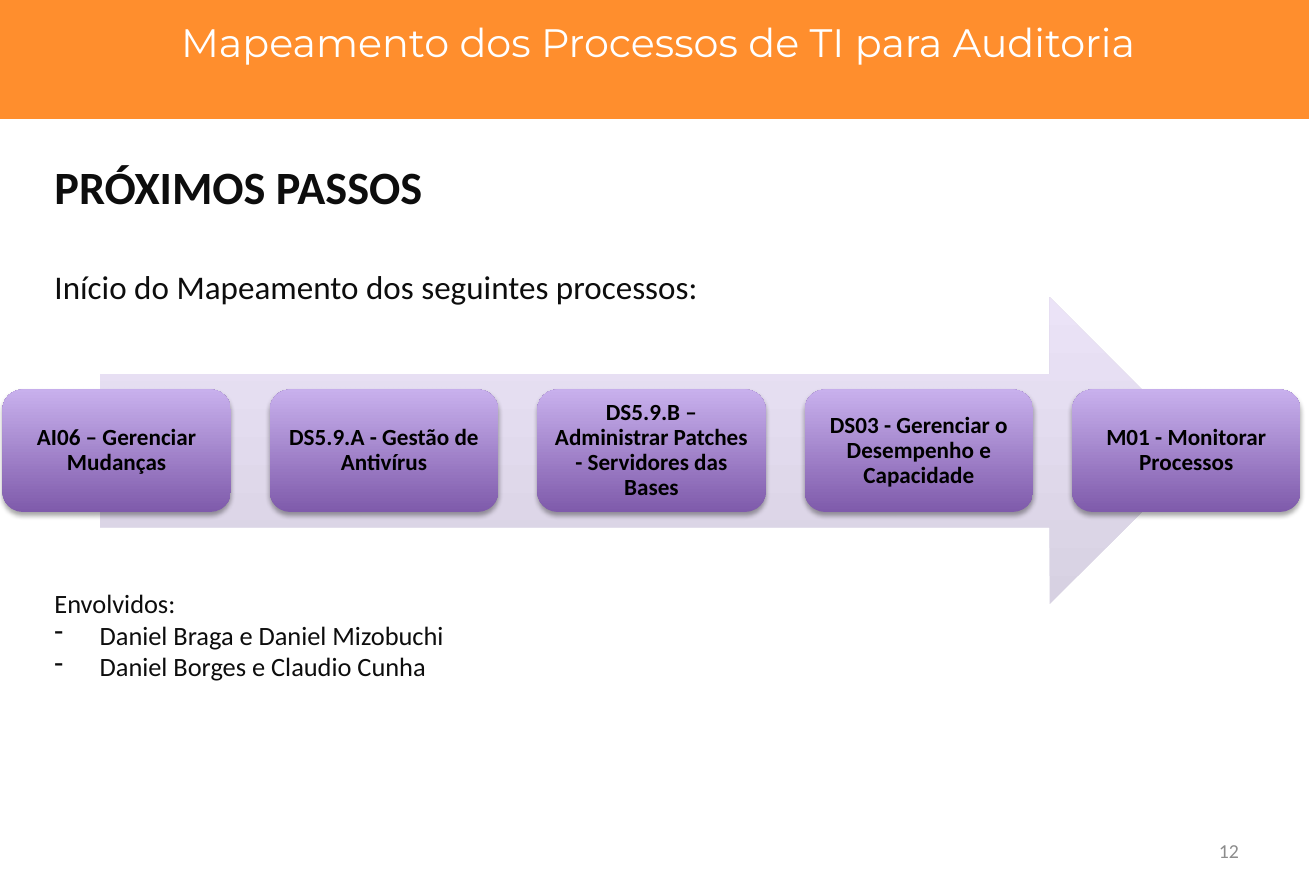
from lxml.etree import SubElement
from pptx import Presentation
from pptx.dml.color import RGBColor
from pptx.enum.shapes import MSO_SHAPE
from pptx.enum.text import MSO_ANCHOR, MSO_AUTO_SIZE, PP_ALIGN
from pptx.oxml.ns import qn
from pptx.util import Inches, Pt

COLORS = {
    "band": "FF8E2D",
    "title": "FFFFFF",
    "body": "0D0D0D",
    "card_text": "000000",
    "number": "8C8C8C",
    "arrow_bottom": "D7D1E2",
    "arrow_top": "EBE3F7",
    "card_bottom": "7F5BAB",
    "card_top": "C8B0ED",
    "shadow": "000000",
}
PROCESSES = [
    "AI06 – Gerenciar Mudanças",
    "DS5.9.A - Gestão de Antivírus",
    "DS5.9.B – Administrar Patches - Servidores das Bases",
    "DS03 - Gerenciar o Desempenho e Capacidade",
    "M01 - Monitorar Processos",
]
PEOPLE = ["Daniel Braga e Daniel Mizobuchi", "Daniel Borges e Claudio Cunha"]


def color(name):
    return RGBColor.from_string(COLORS[name])


def add_span(para, text, size, color_name, font="Calibri", bold=False):
    span = para.add_run()
    span.text = text
    span.font.name = font
    span.font.size = Pt(size)
    span.font.bold = bold
    span.font.color.rgb = color(color_name)


def bezier(points, steps=16):
    """Return points along a cubic curve, without its start."""
    curve = []
    for step in range(1, steps + 1):
        t = step / steps
        weights = ((1 - t) ** 3, 3 * t * (1 - t) ** 2, 3 * t**2 * (1 - t), t**3)
        curve.append(tuple(sum(w * p[axis] for w, p in zip(weights, points))
                           for axis in (0, 1)))
    return curve


def add_header(page, left, top, width):
    right_edge, middle, left_edge = (10.82, 0.59), (5.43, 0.82), (0.04, 0.59)
    outline = [(width, 0), (width, 0.57), right_edge]
    outline += bezier([right_edge, (9.36, 0.74), (7.48, 0.82), middle])
    outline += bezier([middle, (3.38, 0.82), (1.5, 0.74), left_edge])
    outline.append((0, 0.59))
    builder = page.shapes.build_freeform(0, 0, scale=Inches(1))
    builder.add_line_segments(outline, close=True)
    band = builder.convert_to_shape(Inches(left), Inches(top))
    band.shadow.inherit = False
    band.fill.solid()
    band.fill.fore_color.rgb = color("band")
    band.line.fill.background()

    title = page.shapes.title
    title.element.addprevious(band.element)
    title.left, title.top = Inches(left + 0.56), Inches(top + 0.1)
    title.width, title.height = Inches(width - 1.12), Inches(0.5)
    frame = title.text_frame
    frame.auto_size = MSO_AUTO_SIZE.NONE
    frame.vertical_anchor = MSO_ANCHOR.TOP
    para = frame.paragraphs[0]
    para.alignment = PP_ALIGN.CENTER
    add_span(para, "Mapeamento dos Processos de TI para Auditoria", 24, "title",
             font="Montserrat")


def add_gradient_shape(page, preset, left, top, width, height, bottom, upper):
    shape = page.shapes.add_shape(preset, Inches(left), Inches(top),
                                  Inches(width), Inches(height))
    shape.shadow.inherit = False
    shape.line.fill.background()
    shape.fill.gradient()
    shape.fill.gradient_angle = 90
    for stop, name in zip(shape.fill.gradient_stops, (bottom, upper)):
        stop.color.rgb = color(name)
    return shape


def add_drop_shadow(shape):
    effects = shape.element.spPr.find(qn("a:effectLst"))
    shadow = SubElement(effects, qn("a:outerShdw"), blurRad=str(Pt(3.1)),
                        dist=str(Pt(1.8)), dir="5400000", rotWithShape="0")
    tint = SubElement(shadow, qn("a:srgbClr"), val=COLORS["shadow"])
    SubElement(tint, qn("a:alpha"), val="35000")


def add_process_arrow(page, left, top, width, height):
    """Place the arrow in the middle of the box and the cards across it."""
    card_width, card_height = 1.92, 1.03
    pitch = (width - card_width) / (len(PROCESSES) - 1)
    arrow_width = 0.85 * width
    add_gradient_shape(page, MSO_SHAPE.RIGHT_ARROW,
                       left + (width - arrow_width) / 2, top, arrow_width, height,
                       "arrow_bottom", "arrow_top")
    for index, process in enumerate(PROCESSES):
        card = add_gradient_shape(page, MSO_SHAPE.ROUNDED_RECTANGLE,
                                  left + index * pitch,
                                  top + (height - card_height) / 2,
                                  card_width, card_height,
                                  "card_bottom", "card_top")
        add_drop_shadow(card)
        frame = card.text_frame
        frame.word_wrap = True
        frame.vertical_anchor = MSO_ANCHOR.MIDDLE
        frame.margin_left = frame.margin_right = Inches(0.06)
        frame.margin_top = frame.margin_bottom = Inches(0.06)
        para = frame.paragraphs[0]
        para.alignment = PP_ALIGN.CENTER
        para.line_spacing = 0.9
        add_span(para, process, 14, "card_text", bold=True)


def add_dash(para):
    properties = para._p.get_or_add_pPr()
    properties.set("marL", str(Inches(0.38)))
    properties.set("indent", str(-Inches(0.38)))
    SubElement(properties, qn("a:buChar"), char="-")


def add_body(page, left, top, width, height):
    box = page.shapes.add_textbox(Inches(left), Inches(top),
                                  Inches(width), Inches(height))
    frame = box.text_frame
    frame.word_wrap = True
    lines = [
        ("PRÓXIMOS PASSOS", 28, True, 0, False),
        ("Início do Mapeamento dos seguintes processos:", 20, False, 32, False),
        ("Envolvidos:", 16, False, 170, False),
    ]
    lines += [(person, 16, False, 0, True) for person in PEOPLE]
    for index, (text, size, bold, gap, dashed) in enumerate(lines):
        para = frame.add_paragraph() if index else frame.paragraphs[0]
        para.alignment = PP_ALIGN.JUSTIFY
        if gap:
            para.space_before = Pt(gap)
        if dashed:
            add_dash(para)
        add_span(para, text, size, "body", bold=bold)


def add_page_number(page, left, top, width, height):
    box = page.shapes.add_textbox(Inches(left), Inches(top),
                                  Inches(width), Inches(height))
    box.text_frame.word_wrap = True
    box.text_frame.vertical_anchor = MSO_ANCHOR.MIDDLE
    para = box.text_frame.paragraphs[0]
    para.alignment = PP_ALIGN.RIGHT
    add_span(para, "12", 12, "number")


def main():
    deck = Presentation()
    deck.slide_width, deck.slide_height = Inches(11.06), Inches(7.5)
    page = deck.slides.add_slide(deck.slide_layouts[5])
    add_header(page, 0, 0, 11.06)
    add_process_arrow(page, 0.02, 2.5, 10.91, 2.58)
    add_page_number(page, 7.93, 6.95, 2.58, 0.4)
    add_body(page, 0.36, 1.28, 5.66, 4.55)
    deck.save("out.pptx")


if __name__ == "__main__":
    main()
